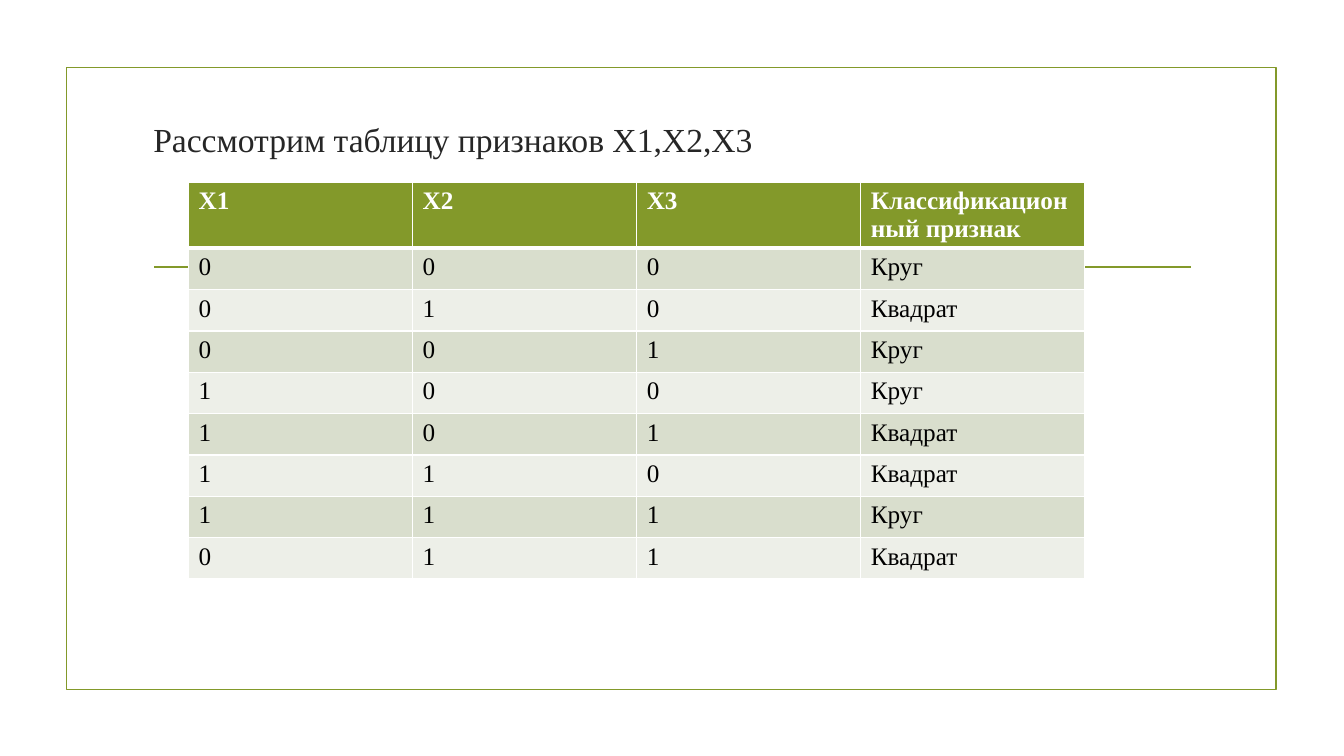
from lxml.etree import SubElement
from pptx import Presentation
from pptx.dml.color import RGBColor
from pptx.enum.shapes import MSO_CONNECTOR as Connector, MSO_SHAPE as Shape
from pptx.enum.text import MSO_ANCHOR as Anchor, MSO_AUTO_SIZE as AutoSize, PP_ALIGN as Align
from pptx.oxml import parse_xml
from pptx.oxml.ns import nsdecls, qn
from pptx.util import Inches, Pt

TITLE = "Рассмотрим таблицу признаков X1,X2,X3"
HEADER = ("X1", "X2", "X3", "Классификационный признак")
CIRCLE, SQUARE = "Круг", "Квадрат"
SAMPLES = [
    (0, 0, 0, CIRCLE),
    (0, 1, 0, SQUARE),
    (0, 0, 1, CIRCLE),
    (1, 0, 0, CIRCLE),
    (1, 0, 1, SQUARE),
    (1, 1, 0, SQUARE),
    (1, 1, 1, CIRCLE),
    (0, 1, 1, SQUARE),
]
COLORS = {
    "accent": "83992A", "title": "262626", "header": "FFFFFF", "body": "000000",
    "border": "FFFFFF", "odd": "D9DECD", "even": "EDEFE8",
}
FONT = "Times New Roman"
WIDTH, HEIGHT = 13.33, 7.5
FRAME = (0.66, 0.67, 12, 6.17)
TITLE_BOX = (1.42, 1.13, 9.35, 1.37)
RULE = (1.53, 2.65, 11.81, 2.65)
TABLE_LEFT, TABLE_TOP, TABLE_WIDTH = 1.87, 1.81, 8.89
HEADER_HEIGHT, ROW_HEIGHT = 0.65, 0.41
BORDER, HEADER_BORDER = 1, 3


def color(name):
    return RGBColor.from_string(COLORS[name])


def inches(values):
    return [Inches(value) for value in values]


def apply(target, formats):
    for name, value in formats.items():
        setattr(target, name, value)


def write(text_frame, text, size, color_name, bold=False):
    paragraph = text_frame.paragraphs[0]
    run = paragraph.add_run()
    run.text = text
    apply(run.font, {"name": FONT, "size": Pt(size), "bold": bold})
    run.font.color.rgb = color(color_name)
    paragraph.alignment = Align.LEFT
    return paragraph


def style_line(line):
    line.color.rgb = color("accent")
    line.width = Pt(1.25)


def add_borders(cell, widths):
    properties = cell._tc.get_or_add_tcPr()
    for position, (side, width) in enumerate(widths.items()):
        properties.insert(position, parse_xml(
            f'<a:ln{side} {nsdecls("a")} w="{Pt(width)}"><a:solidFill>'
            f'<a:srgbClr val="{COLORS["border"]}"/></a:solidFill></a:ln{side}>'))


def add_title(slide):
    title = slide.shapes.title
    apply(title, dict(zip(("left", "top", "width", "height"), inches(TITLE_BOX))))
    apply(title.text_frame, {
        "word_wrap": True, "auto_size": AutoSize.NONE, "vertical_anchor": Anchor.TOP})
    paragraph = write(title.text_frame, TITLE, 24, "title")
    apply(paragraph, {"space_before": Pt(4), "space_after": Pt(6)})


def add_decoration(slide):
    frame = slide.shapes.add_shape(Shape.RECTANGLE, *inches(FRAME))
    frame.shadow.inherit = False
    frame.fill.background()
    style_line(frame.line)
    rule = slide.shapes.add_connector(Connector.STRAIGHT, *inches(RULE))
    style_line(rule.line)
    SubElement(rule._element.spPr, qn("a:effectLst"))


def add_samples(slide):
    rows = [HEADER, *SAMPLES]
    height = HEADER_HEIGHT + ROW_HEIGHT * len(SAMPLES)
    table = slide.shapes.add_table(
        len(rows), len(HEADER),
        *inches((TABLE_LEFT, TABLE_TOP, TABLE_WIDTH, height))).table
    for column in table.columns:
        column.width = Inches(TABLE_WIDTH / len(HEADER))
    for row_index, values in enumerate(rows):
        is_header = row_index == 0
        table.rows[row_index].height = Inches(HEADER_HEIGHT if is_header else ROW_HEIGHT)
        fill = "accent" if is_header else "odd" if row_index % 2 else "even"
        widths = {
            "L": BORDER, "R": BORDER,
            "T": HEADER_BORDER if row_index == 1 else BORDER,
            "B": HEADER_BORDER if is_header else BORDER,
        }
        for column_index, value in enumerate(values):
            cell = table.cell(row_index, column_index)
            cell.fill.solid()
            cell.fill.fore_color.rgb = color(fill)
            add_borders(cell, widths)
            write(cell.text_frame, str(value), 18,
                  "header" if is_header else "body", is_header)


def main():
    presentation = Presentation()
    apply(presentation, {"slide_width": Inches(WIDTH), "slide_height": Inches(HEIGHT)})
    slide = presentation.slides.add_slide(presentation.slide_layouts[5])
    add_decoration(slide)
    add_title(slide)
    add_samples(slide)
    presentation.save("out.pptx")


if __name__ == "__main__":
    main()
